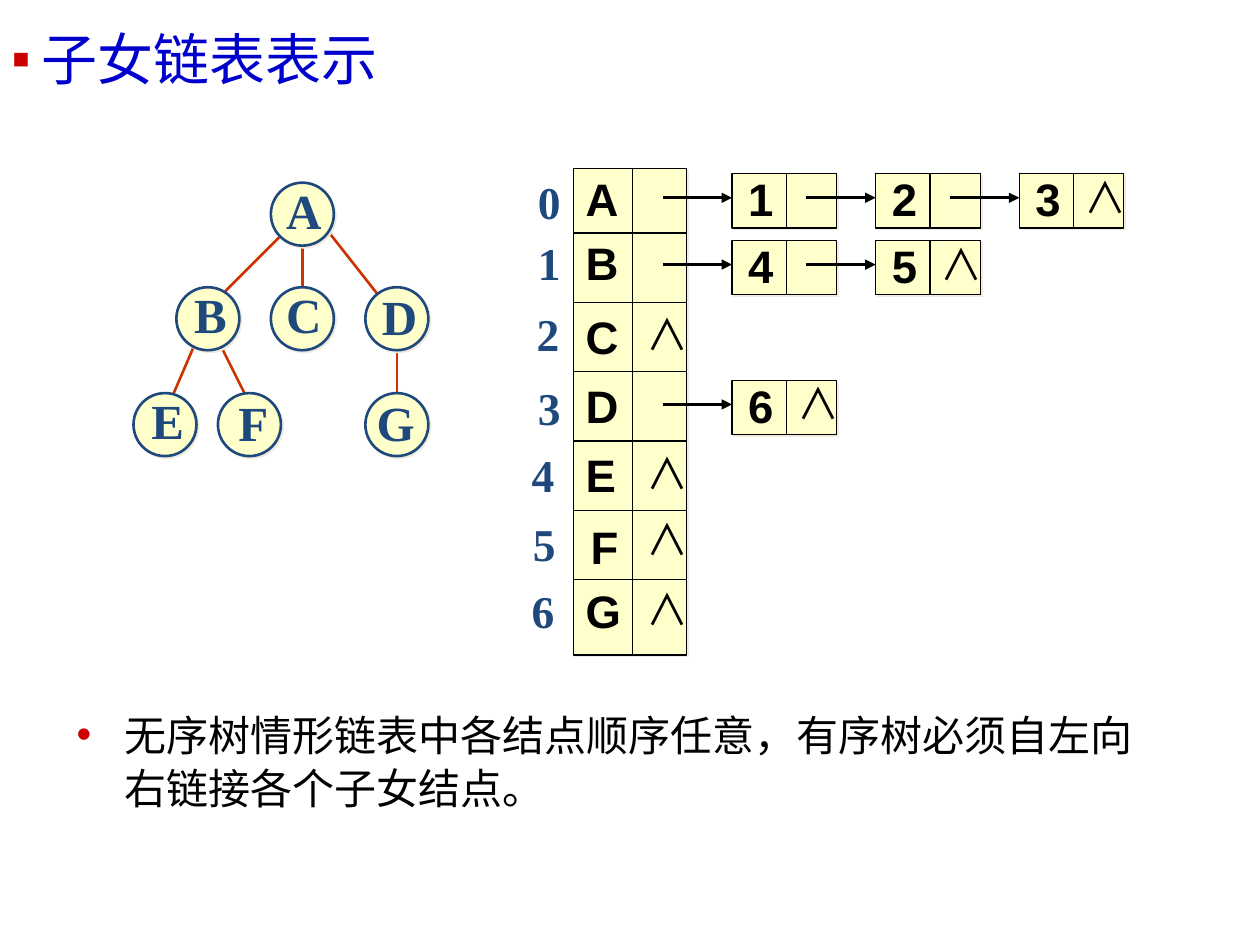
from dataclasses import dataclass

from lxml import etree
from pptx import Presentation
from pptx.dml.color import RGBColor
from pptx.enum.shapes import MSO_CONNECTOR, MSO_SHAPE
from pptx.enum.text import MSO_ANCHOR, MSO_AUTO_SIZE, PP_ALIGN
from pptx.oxml.ns import qn
from pptx.util import Inches, Pt

STRAIGHT = MSO_CONNECTOR.STRAIGHT
RECT, OVAL = MSO_SHAPE.RECTANGLE, MSO_SHAPE.OVAL
LEFT, CENTER = PP_ALIGN.LEFT, PP_ALIGN.CENTER
TOP, MIDDLE = MSO_ANCHOR.TOP, MSO_ANCHOR.MIDDLE


@dataclass(frozen=True)
class Theme:
    title: str = "0000CC"
    bullet: str = "CC0000"
    ink: str = "000000"
    navy: str = "1F497D"
    edge: str = "CC3300"
    fill: str = "FFFFCC"
    shadow: str = "EEECE1"
    body_font: str = "Calibri"
    cjk_font: str = "Noto Sans CJK SC"
    cell_font: str = "Arial"
    label_font: str = "Times New Roman"
    title_size: int = 32
    node_size: int = 28
    cell_size: int = 26
    body_size: int = 24
    thin: float = 0.75
    thick: float = 1.5


T = Theme()
NULL_MARK = "∧"

# Tree node: circle left and top, then label left and top
CIRCLE = 0.5
TREE_NODES = {
    "A": (2.15, 1.45, 2.17, 1.38),
    "B": (1.4, 2.28, 1.43, 2.21),
    "C": (2.15, 2.28, 2.17, 2.21),
    "D": (2.9, 2.28, 2.93, 2.22),
    "E": (1.06, 3.12, 1.09, 3.05),
    "F": (1.73, 3.12, 1.77, 3.06),
    "G": (2.9, 3.12, 2.89, 3.06),
}
TREE_EDGES = [
    (2.23, 1.87, 1.73, 2.37),
    (2.4, 1.87, 2.4, 2.37),
    (2.56, 1.78, 3.15, 2.53),
    (1.56, 2.7, 1.31, 3.28),
    (1.73, 2.7, 1.98, 3.2),
    (3.15, 2.7, 3.15, 3.28),
]

# Table row: letter, its left and top, index left and top
ARRAY_LEFT, ARRAY_TOP, ARRAY_W, ARRAY_H = 4.55, 1.34, 0.9, 3.86
ARRAY_SPLIT, FIRST_RULE, ROW_H = 5.02, 1.85, 0.55
ARRAY_ROWS = [
    ("A", 4.55, 1.31, 4.17, 1.33),
    ("B", 4.55, 1.82, 4.17, 1.82),
    ("C", 4.55, 2.4, 4.16, 2.38),
    ("D", 4.55, 2.95, 4.17, 2.97),
    ("E", 4.55, 3.5, 4.12, 3.5),
    ("F", 4.59, 4.07, 4.13, 4.05),
    ("G", 4.55, 4.58, 4.12, 4.58),
]
EMPTY_LIST_TOPS = [2.4, 3.5, 4.03, 4.58]
CHILD_LISTS = [(1.38, "123"), (1.91, "45"), (3.02, "6")]
LIST_LEFT, LIST_STEP = 5.81, 1.14
CELL_W, CELL_H, CELL_SPLIT = 0.83, 0.43, 0.43
ARROW_LENGTH, ARROW_DROP = 0.55, 0.19


def rgb(color):
    return RGBColor.from_string(color)


def write(tf, text, size, font=T.body_font, color=T.ink, bold=False,
          align=LEFT, anchor=TOP, wrap=True):
    """Fill a text frame with one formatted paragraph and return it."""
    tf.word_wrap = wrap
    tf.vertical_anchor = anchor
    p = tf.paragraphs[0]
    p.alignment = align
    r = p.add_run()
    r.text = text
    r.font.size, r.font.bold, r.font.name = Pt(size), bold, font
    r.font.color.rgb = rgb(color)
    etree.SubElement(r.font._element, qn("a:ea"), typeface=T.cjk_font)
    return p


def add_bullet(p, char, indent, percent=100):
    pPr = p._p.get_or_add_pPr()
    pPr.set("marL", str(Inches(indent)))
    pPr.set("indent", str(-Inches(indent)))
    clr = etree.SubElement(pPr, qn("a:buClr"))
    etree.SubElement(clr, qn("a:srgbClr"), val=T.bullet)
    etree.SubElement(pPr, qn("a:buSzPct"), val=str(percent * 1000))
    etree.SubElement(pPr, qn("a:buFont"), typeface=T.cell_font)
    etree.SubElement(pPr, qn("a:buChar"), char=char)


def add_label(shapes, text, x, y, w, h, size, **fmt):
    sp = shapes.add_textbox(Inches(x), Inches(y), Inches(w), Inches(h))
    write(sp.text_frame, text, size, **fmt)
    sp.text_frame.auto_size = MSO_AUTO_SIZE.SHAPE_TO_FIT_TEXT


def add_cell_label(shapes, text, x, y, w=0.46, font=T.cell_font, color=T.ink):
    add_label(shapes, text, x, y, w, 0.54, T.cell_size, font=font,
              color=color, bold=True, wrap=False)


def add_null_mark(shapes, x, y):
    add_label(shapes, NULL_MARK, x, y, 0.44, 0.5, T.body_size,
              font=T.cjk_font, wrap=False)


def add_box(shapes, kind, x, y, w, h, color=T.ink, width=T.thin):
    """Add a filled shape with a faint shadow to the lower right."""
    sp = shapes.add_shape(kind, Inches(x), Inches(y), Inches(w), Inches(h))
    sp.fill.solid()
    sp.fill.fore_color.rgb = rgb(T.fill)
    sp.line.color.rgb = rgb(color)
    sp.line.width = Pt(width)
    sp.shadow.inherit = False
    effects = sp._element.spPr.find(qn("a:effectLst"))
    shadow = etree.SubElement(effects, qn("a:outerShdw"), dist=str(Pt(1.4)),
                              dir="2700000", algn="ctr", rotWithShape="0")
    etree.SubElement(shadow, qn("a:srgbClr"), val=T.shadow)


def add_line(shapes, x1, y1, x2, y2, color=T.ink, width=T.thin, arrow=False):
    line = shapes.add_connector(STRAIGHT, Inches(x1), Inches(y1),
                                Inches(x2), Inches(y2))
    line.line.color.rgb = rgb(color)
    line.line.width = Pt(width)
    if arrow:
        etree.SubElement(line.line._get_or_add_ln(), qn("a:tailEnd"), type="triangle")
    etree.SubElement(line._element.spPr, qn("a:effectLst"))


def add_tree(shapes):
    for edge in TREE_EDGES:
        add_line(shapes, *edge, color=T.edge, width=T.thick)
    for x, y, _, _ in TREE_NODES.values():
        add_box(shapes, OVAL, x, y, CIRCLE, CIRCLE, color=T.navy, width=T.thick)
    for name, (_, _, x, y) in TREE_NODES.items():
        add_label(shapes, name, x, y, 0.48, 0.57, T.node_size, font=T.label_font,
                  color=T.navy, bold=True, align=CENTER, anchor=MIDDLE, wrap=False)


def add_array(shapes):
    add_box(shapes, RECT, ARRAY_LEFT, ARRAY_TOP, ARRAY_W, ARRAY_H)
    for i in range(len(ARRAY_ROWS) - 1):
        y = FIRST_RULE + i * ROW_H
        add_line(shapes, ARRAY_LEFT, y, ARRAY_LEFT + ARRAY_W, y)
    add_line(shapes, ARRAY_SPLIT, ARRAY_TOP, ARRAY_SPLIT, ARRAY_TOP + ARRAY_H)
    for i, (name, x, y, index_x, index_y) in enumerate(ARRAY_ROWS):
        add_cell_label(shapes, name, x, y)
        add_cell_label(shapes, str(i), index_x, index_y, w=0.38,
                       font=T.label_font, color=T.navy)
    for y in EMPTY_LIST_TOPS:
        add_null_mark(shapes, 5.03, y)


def add_child_list(shapes, y, children):
    for i, child in enumerate(children):
        x = LIST_LEFT + i * LIST_STEP
        add_box(shapes, RECT, x, y, CELL_W, CELL_H)
        add_line(shapes, x + CELL_SPLIT, y, x + CELL_SPLIT, y + CELL_H)
        add_cell_label(shapes, child, x + 0.03, y - 0.07, w=0.4)
        add_line(shapes, x - ARROW_LENGTH, y + ARROW_DROP, x, y + ARROW_DROP,
                 width=T.thick, arrow=True)
    add_null_mark(shapes, x + 0.42, y - 0.07)


def main():
    prs = Presentation()
    prs.slide_width, prs.slide_height = Inches(10), Inches(7.5)
    slide = prs.slides.add_slide(prs.slide_layouts[5])

    title = slide.shapes.title
    title.left, title.top = Inches(0), Inches(0)
    title.width, title.height = Inches(9), Inches(0.93)
    p = write(title.text_frame, "子女链表表示", T.title_size,
              color=T.title, anchor=MIDDLE)
    add_bullet(p, "■", 0.23, percent=50)

    note = slide.shapes.add_textbox(Inches(0.51), Inches(5.56),
                                    Inches(8.76), Inches(1.3))
    p = write(note.text_frame, "无序树情形链表中各结点顺序任意，有序树必须自左向右链接各个子女结点。",
              T.body_size)
    p.line_spacing = 1.05
    add_bullet(p, "•", 0.38)

    add_tree(slide.shapes.add_group_shape().shapes)
    lists = slide.shapes.add_group_shape().shapes
    add_array(lists)
    for y, children in CHILD_LISTS:
        add_child_list(lists, y, children)
    prs.save("out.pptx")


if __name__ == "__main__":
    main()
